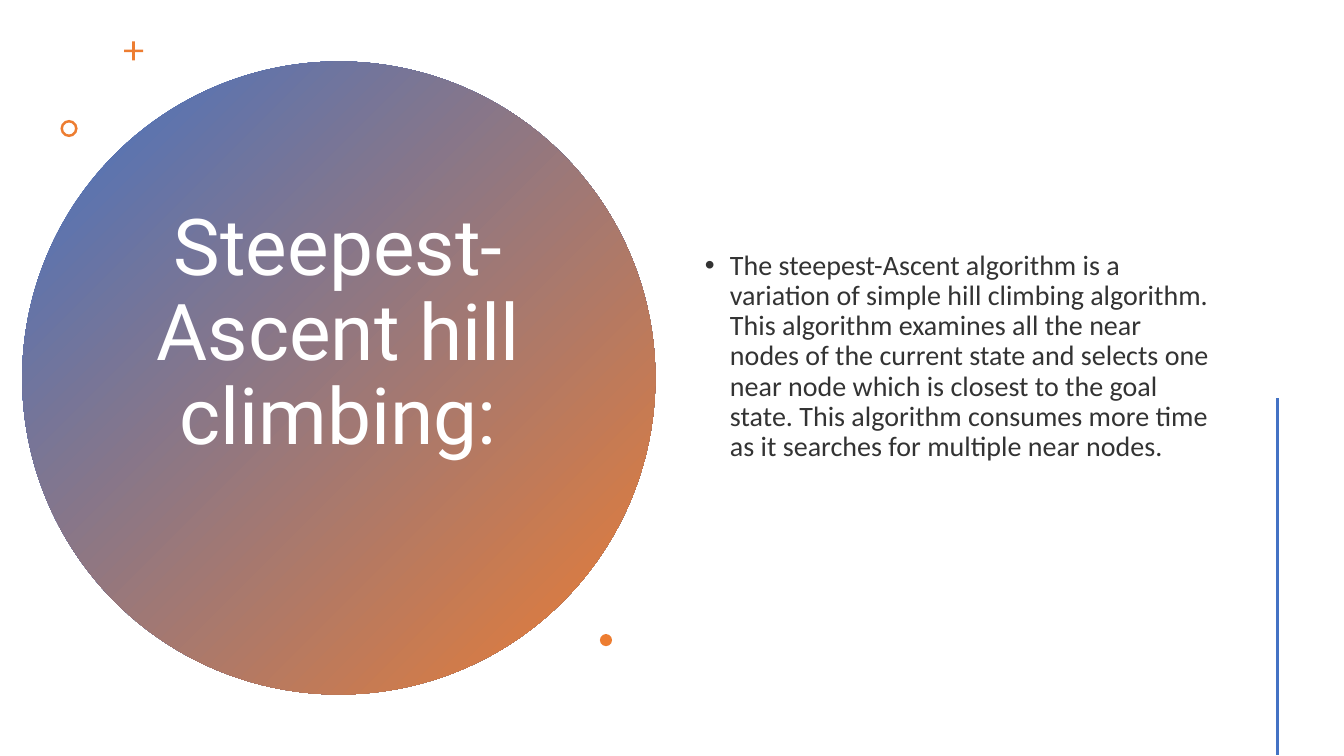
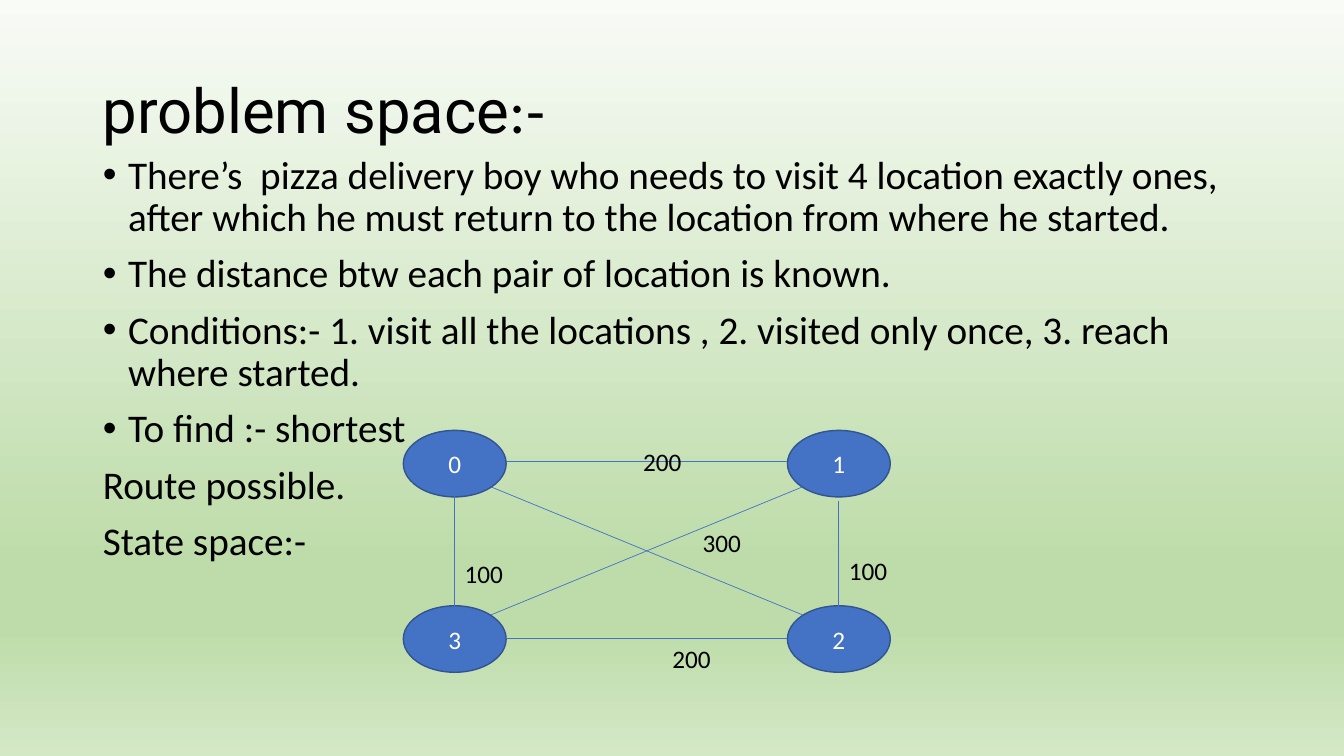
from lxml import etree
from pptx import Presentation
from pptx.dml.color import RGBColor
from pptx.enum.shapes import MSO_CONNECTOR, MSO_SHAPE
from pptx.enum.text import MSO_ANCHOR, MSO_AUTO_SIZE, PP_ALIGN
from pptx.oxml.ns import qn
from pptx.util import Inches, Pt

BLUE = RGBColor(0x44, 0x72, 0xC4)
DARK_BLUE = RGBColor(0x32, 0x54, 0x91)
ORANGE = RGBColor(0xED, 0x7D, 0x31)
BLACK = RGBColor(0, 0, 0)
GREY = RGBColor(0x33, 0x33, 0x33)
WHITE = RGBColor(0xFF, 0xFF, 0xFF)
PALE_GREEN = RGBColor(0xF8, 0xFB, 0xF6)
GREEN = RGBColor(0xBE, 0xDC, 0xAA)
SOFT_GREEN = RGBColor(0xD4, 0xE8, 0xC6)

OVAL, DONUT, CROSS = MSO_SHAPE.OVAL, MSO_SHAPE.DONUT, MSO_SHAPE.CROSS
STRAIGHT = MSO_CONNECTOR.STRAIGHT
LEFT, CENTER = PP_ALIGN.LEFT, PP_ALIGN.CENTER
TOP, MIDDLE = MSO_ANCHOR.TOP, MSO_ANCHOR.MIDDLE
TITLE_FONT, BODY_FONT = "Roboto", "Calibri"


def add_text(p, text, size=18, font=BODY_FONT, color=BLACK, align=LEFT,
             spacing=1.0, before=0, bullet=None):
    """Append a run to p; bullet True or False overrides the template's list style."""
    p.alignment, p.line_spacing, p.space_before = align, spacing, Pt(before)
    r = p.add_run()
    r.text = text
    r.font.size, r.font.name, r.font.color.rgb = Pt(size), font, color
    if bullet is not None:
        pPr = p._p.get_or_add_pPr()
        pPr.set("marL", str(Inches(0.25) if bullet else 0))
        pPr.set("indent", str(Inches(-0.25) if bullet else 0))
        if bullet:
            etree.SubElement(pPr, qn("a:buFont")).set("typeface", "Arial")
            etree.SubElement(pPr, qn("a:buChar")).set("char", "•")
        else:
            etree.SubElement(pPr, qn("a:buNone"))


def set_gradient(fill, element, stops, angle):
    """Fill with (percent, colour) stops; angle is clockwise in degrees."""
    fill.gradient()
    fill.gradient_angle = 360 - angle
    gs_list = element.find(".//" + qn("a:gsLst"))
    for gs in list(gs_list):
        gs_list.remove(gs)
    for percent, color in stops:
        gs = etree.SubElement(gs_list, qn("a:gs"), pos=str(percent * 1000))
        etree.SubElement(gs, qn("a:srgbClr"), val=str(color))


prs = Presentation()
prs.slide_width, prs.slide_height = Inches(13.33), Inches(7.5)

# Title and body placeholders: (left, top, width, height), anchor, bottom inset
frames = [
    [((1.36, 1.41, 3.99, 4.67), MIDDLE, 0.9), ((6.89, 0.57, 5.22, 6.38), MIDDLE, 0.49)],
    [((0.92, 0.4, 11.5, 1.45), MIDDLE, 0.05), ((0.92, 1.49, 11.5, 5.26), TOP, 0.05)],
]
for slide_frames in frames:
    s = prs.slides.add_slide(prs.slide_layouts[1])
    for sp, (box, anchor, inset) in zip(s.placeholders, slide_frames):
        sp.left, sp.top, sp.width, sp.height = map(Inches, box)
        tf = sp.text_frame
        tf.word_wrap, tf.auto_size = True, MSO_AUTO_SIZE.NONE
        tf.vertical_anchor, tf.margin_bottom = anchor, Inches(inset)

# Slide 1: definition
s = prs.slides[0]
title, body = s.placeholders
add_text(title.text_frame.paragraphs[0], "Steepest-Ascent hill climbing:",
         size=56, font=TITLE_FONT, color=WHITE, align=CENTER, spacing=0.9)
add_text(body.text_frame.paragraphs[0],
         "The steepest-Ascent algorithm is a variation of simple hill climbing algorithm. "
         "This algorithm examines all the near nodes of the current state and selects one "
         "near node which is closest to the goal state. This algorithm consumes more time "
         "as it searches for multiple near nodes.",
         size=20, color=GREY, spacing=0.9, before=10, bullet=True)

circle = s.shapes.add_shape(OVAL, Inches(0.22), Inches(0.61), Inches(6.28), Inches(6.28))
circle.shadow.inherit = False
circle.line.fill.background()
set_gradient(circle.fill, circle.element, [(0, BLUE), (100, ORANGE)], 45)
title.element.addprevious(circle.element)

ornaments = [(CROSS, 1.23, 0.41, 0.19, 0.43), (DONUT, 0.6, 1.19, 0.17, 0.15),
             (OVAL, 5.95, 6.29, 0.12, None)]
for kind, x, y, size, adjustment in ornaments:
    sp = s.shapes.add_shape(kind, Inches(x), Inches(y), Inches(size), Inches(size))
    sp.shadow.inherit = False
    sp.fill.solid()
    sp.fill.fore_color.rgb = ORANGE
    sp.line.fill.background()
    if adjustment:
        sp.adjustments[0] = adjustment

# Slide 2: problem and its graph
s2 = prs.slides[1]
set_gradient(s2.background.fill, s2.element,
             [(0, PALE_GREEN), (74, GREEN), (83, GREEN), (100, SOFT_GREEN)], 90)
title, body = s2.placeholders
p = title.text_frame.paragraphs[0]
for text, font in [("problem space", TITLE_FONT), (":-", BODY_FONT)]:
    add_text(p, text, size=44, font=font, spacing=0.9)

lines = [
    ("There’s  pizza delivery boy who needs to visit 4 location exactly ones, "
     "after which he must return to the location from where he started.", True),
    ("The distance btw each pair of location is known.", True),
    ("Conditions:- 1. visit all the locations , 2. visited only once, "
     "3. reach where started.", True),
    ("To find :- shortest", True),
    ("Route possible.", False),
    ("State space:-", False),
]
tf = body.text_frame
for i, (text, bullet) in enumerate(lines):
    p = tf.add_paragraph() if i else tf.paragraphs[0]
    add_text(p, text, size=28, spacing=0.9, before=10, bullet=bullet)

COL_X, ROW_Y = (4, 7.81), (4.27, 6.01)
for name, col, row in [("0", 0, 0), ("3", 0, 1), ("2", 1, 1), ("1", 1, 0)]:
    node = s2.shapes.add_shape(OVAL, Inches(COL_X[col]), Inches(ROW_Y[row]),
                               Inches(1.02), Inches(0.66))
    node.shadow.inherit = False
    node.fill.solid()
    node.fill.fore_color.rgb = BLUE
    node.line.color.rgb, node.line.width = DARK_BLUE, Pt(1)
    node.text_frame.vertical_anchor = MIDDLE
    add_text(node.text_frame.paragraphs[0], name, color=WHITE, align=CENTER)

# Lines of both slides: slide, start, end, width in points
connectors = [
    (s, 12.67, 3.95, 12.67, 7.49, 2),
    (s2, 5.02, 4.58, 7.81, 4.58, 0.5),
    (s2, 8.32, 4.97, 8.32, 6.01, 0.5),
    (s2, 5.02, 6.33, 7.81, 6.33, 0.5),
    (s2, 4.51, 4.92, 4.51, 6.01, 0.5),
    (s2, 4.87, 4.83, 7.96, 6.1, 0.5),
    (s2, 4.87, 6.1, 7.96, 4.83, 0.5),
]
for slide, *ends, width in connectors:
    line = slide.shapes.add_connector(STRAIGHT, *map(Inches, ends))
    line.line.color.rgb, line.line.width = BLUE, Pt(width)
    etree.SubElement(line.element.spPr, qn("a:effectLst"))

distances = [("200", 6.28, 4.38), ("100", 8.32, 5.46), ("200", 6.57, 6.33),
             ("100", 4.51, 5.49), ("300", 6.87, 5.18)]
for text, x, y in distances:
    label = s2.shapes.add_textbox(Inches(x), Inches(y), Inches(0.59), Inches(0.4))
    label.text_frame.word_wrap = False
    label.text_frame.auto_size = MSO_AUTO_SIZE.SHAPE_TO_FIT_TEXT
    add_text(label.text_frame.paragraphs[0], text)

prs.save("out.pptx")
